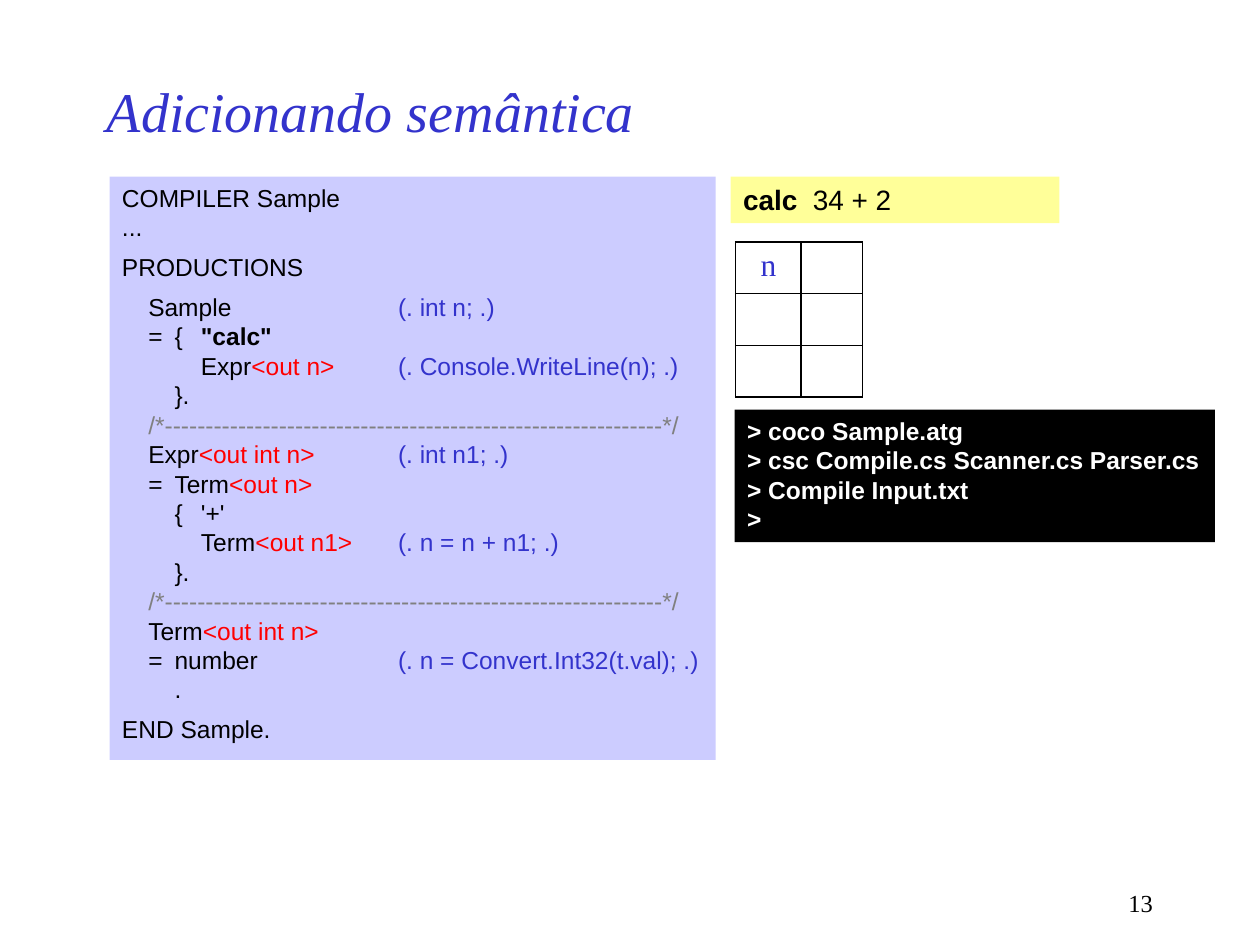
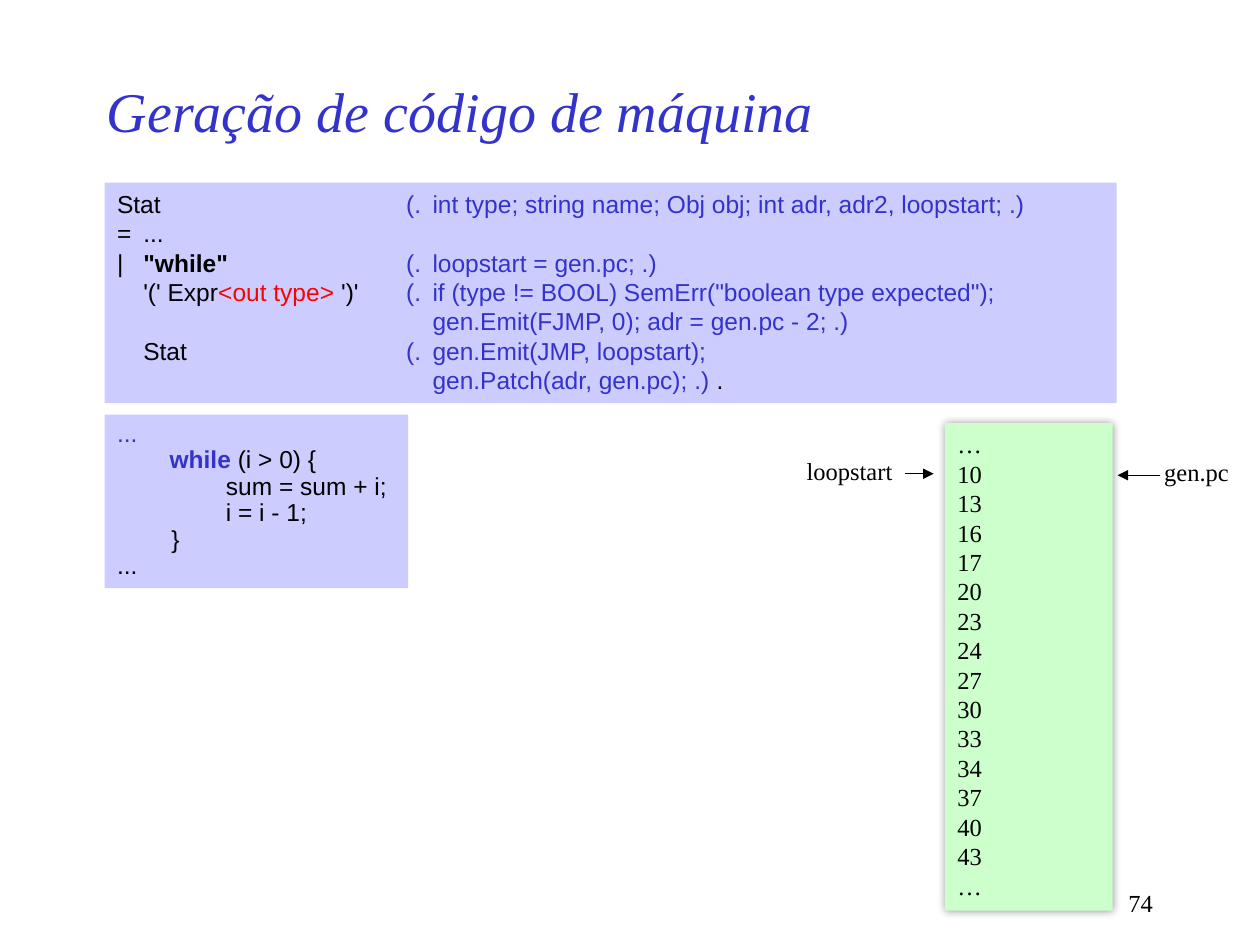
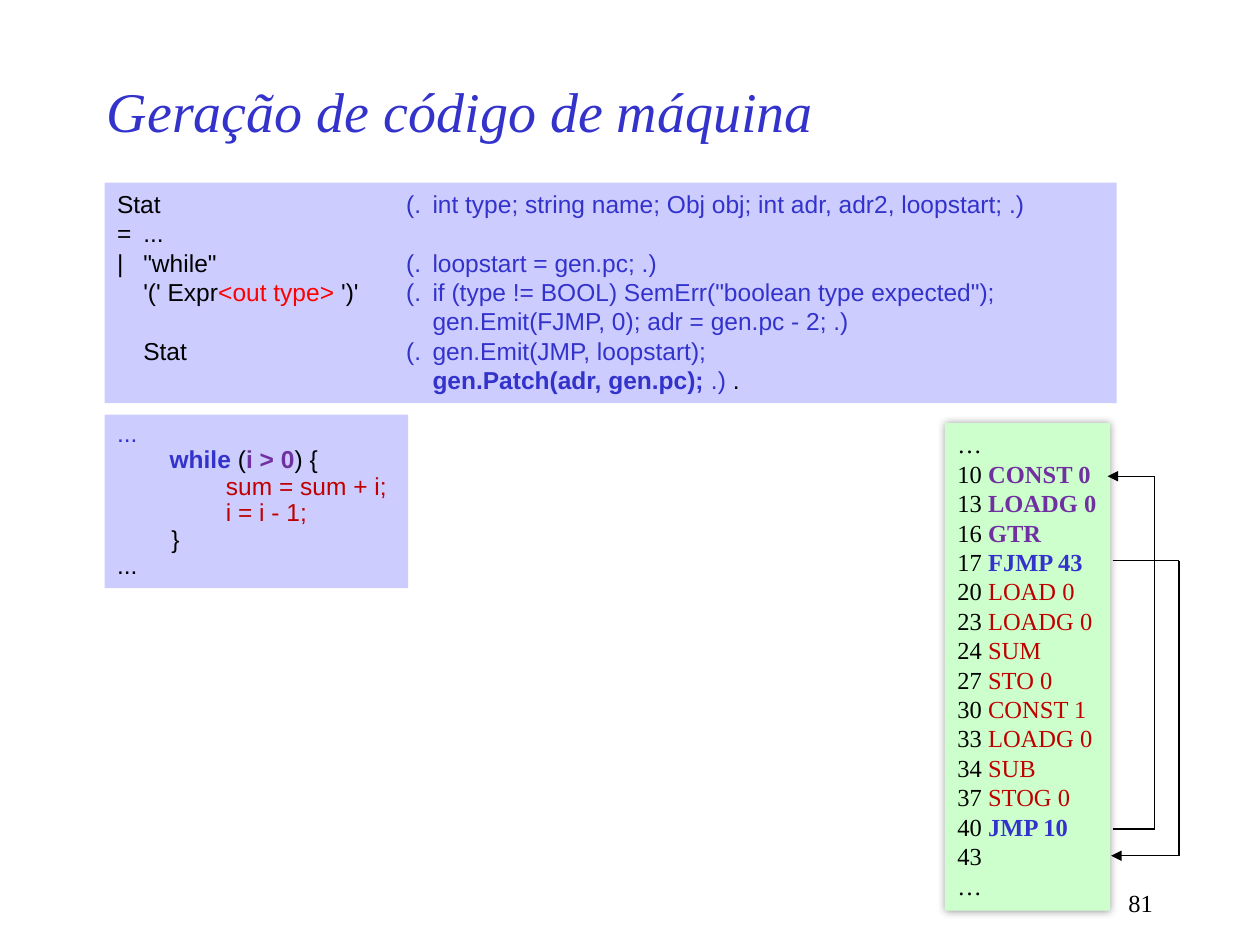
import pptx
import pptx.dml.color
import pptx.enum.shapes
import pptx.enum.text
import pptx.oxml
import pptx.oxml.ns
import pptx.util
from lxml import etree

Cm, Pt = pptx.util.Cm, pptx.util.Pt
RGBColor = pptx.dml.color.RGBColor
ALIGN = pptx.enum.text.PP_ALIGN
AUTO = pptx.enum.text.MSO_AUTO_SIZE
ANCHOR = pptx.enum.text.MSO_ANCHOR
qn = pptx.oxml.ns.qn

# Colours
BLACK = RGBColor(0x00, 0x00, 0x00)
WHITE = RGBColor(0xFF, 0xFF, 0xFF)
BLUE = RGBColor(0x33, 0x33, 0xCC)
RED = RGBColor(0xFF, 0x00, 0x00)
DARK_RED = RGBColor(0xC0, 0x00, 0x00)
PURPLE = RGBColor(0x70, 0x30, 0xA0)
GRAY = RGBColor(0x80, 0x80, 0x80)
LILAC = RGBColor(0xCC, 0xCC, 0xFF)
YELLOW = RGBColor(0xFF, 0xFF, 0x99)
GREEN = RGBColor(0xCC, 0xFF, 0xCC)

# Fonts and run formats
SERIF, SANS = "Times New Roman", "Arial"
BOLD = {"bold": True}
ATTR = {"color": RED}
SEM = {"color": BLUE}
KEYWORD = {"color": BLUE, "bold": True}
COND = {"color": PURPLE, "bold": True}
BODY = {"color": DARK_RED}
TAB = 0.53


def add_run(p, text, font=SERIF, size=14, color=BLACK, bold=False, italic=False):
    r = p.add_run()
    r.text = text
    f = r.font
    f.name, f.size, f.bold, f.italic = font, Pt(size), bold, italic
    f.color.rgb = color


def write(tf, paragraphs, align=ALIGN.LEFT, tabs=(), spacing=None, gaps=(), **fmt):
    """Fill a frame; a paragraph is a string or a list of strings and (text, format)."""
    for i, runs in enumerate(paragraphs):
        p = tf.paragraphs[0] if i == 0 else tf.add_paragraph()
        p.alignment = align
        if tabs:
            tab_list = etree.SubElement(p._p.get_or_add_pPr(), qn("a:tabLst"))
            for stop in tabs:
                etree.SubElement(tab_list, qn("a:tab"), pos=str(Cm(stop * TAB)), algn="l")
        if spacing:
            p.line_spacing = spacing
        if i in gaps:
            p.space_before = Pt(6)
        for run in [runs] if isinstance(runs, str) else runs:
            text, extra = (run, {}) if isinstance(run, str) else run
            add_run(p, text, **{**fmt, **extra})


class Deck:
    def __init__(self):
        self.prs = pptx.Presentation()
        self.prs.slide_width, self.prs.slide_height = Cm(25.4), Cm(19.05)
        self.s = None

    def slide(self, title, number):
        self.s = self.prs.slides.add_slide(self.prs.slide_layouts[5])
        sp = self.s.shapes.title
        sp.left, sp.top, sp.width, sp.height = Cm(1.9), Cm(1.27), Cm(19.05), Cm(1.9)
        tf = sp.text_frame
        tf.auto_size, tf.vertical_anchor = AUTO.NONE, ANCHOR.MIDDLE
        write(tf, [title], size=32, color=BLUE, italic=True)
        self.text(18.21, 17.78, 5.28, 0.84, str(number), align=ALIGN.RIGHT)

    def text(self, x, y, w, h, text, **fmt):
        tf = self.s.shapes.add_textbox(Cm(x), Cm(y), Cm(w), Cm(h)).text_frame
        tf.word_wrap = True
        write(tf, [text], **fmt)
        return tf

    def label(self, x, y, w, text):
        tf = self.text(x, y, w, 0.6, text)
        tf.word_wrap = False
        tf.margin_left = tf.margin_right = tf.margin_top = tf.margin_bottom = 0

    def panel(self, x, y, w, h, fill, paragraphs, wrap=False, shadow=False, **fmt):
        sp = self.s.shapes.add_shape(pptx.enum.shapes.MSO_SHAPE.RECTANGLE,
                                     Cm(x), Cm(y), Cm(w), Cm(h))
        sp.shadow.inherit = False
        sp.fill.solid()
        sp.fill.fore_color.rgb = fill
        sp.line.fill.background()
        if shadow:
            effects = sp._element.spPr.find(qn("a:effectLst"))
            outer = etree.SubElement(effects, qn("a:outerShdw"),
                                     blurRad=str(Pt(5)), dist="0", dir="0")
            color = etree.SubElement(outer, qn("a:srgbClr"), val=str(BLACK))
            etree.SubElement(color, qn("a:alpha"), val="40000")
        tf = sp.text_frame
        tf.word_wrap, tf.auto_size = wrap, AUTO.SHAPE_TO_FIT_TEXT
        tf.vertical_anchor = ANCHOR.TOP
        write(tf, paragraphs, **fmt)

    def arrow(self, *points):
        """Join the points by straight lines, with an arrowhead at the last one."""
        for start, end in zip(points, points[1:]):
            c = self.s.shapes.add_connector(pptx.enum.shapes.MSO_CONNECTOR.STRAIGHT,
                                            *map(Cm, start + end))
            c.line.color.rgb, c.line.width = BLACK, Pt(0.75)
            etree.SubElement(c._element.spPr, qn("a:effectLst"))
        etree.SubElement(c.line._get_or_add_ln(), qn("a:tailEnd"), type="triangle")

    def grid(self, x, y, widths, row_height, rows):
        frame = self.s.shapes.add_table(len(rows), len(widths), Cm(x), Cm(y),
                                        Cm(sum(widths)), Cm(row_height * len(rows)))
        table = frame.table
        table.first_row = table.horz_banding = False
        for column, width in zip(table.columns, widths):
            column.width = Cm(width)
        for i, row in enumerate(rows):
            table.rows[i].height = Cm(row_height)
            for j, text in enumerate(row):
                cell = table.cell(i, j)
                if text:
                    write(cell.text_frame, [text], align=ALIGN.CENTER, size=18, color=BLUE)
                pr = cell._tc.get_or_add_tcPr()
                for side in ("a:lnL", "a:lnR", "a:lnT", "a:lnB"):
                    ln = etree.SubElement(pr, qn(side), w=str(Pt(1)))
                    fill = etree.SubElement(ln, qn("a:solidFill"))
                    etree.SubElement(fill, qn("a:srgbClr"), val=str(BLACK))
                cell.fill.background()


# Parts shared by the code generation slides
def grammar(d, while_format, patch_format):
    d.panel(2.11, 3.68, 20.4, 4.45, LILAC, [
        ["Stat\t\t", ("(.\tint type; string name; Obj obj; int adr, adr2, loopstart; .)", SEM)],
        "=\t...",
        ["|\t", ('"while"\t', while_format), ("(.\tloopstart = gen.pc; .)", SEM)],
        ["\t'(' Expr", ("<out type>", ATTR), " ')'\t",
         ('(.\tif (type != BOOL) SemErr("boolean type expected");', SEM)],
        [("\t\t\t\tgen.Emit(FJMP, 0); adr = gen.pc - 2; .)", SEM)],
        ["\tStat\t", ("(.\tgen.Emit(JMP, loopstart);", SEM)],
        [("\t\t\t\t", SEM), ("gen.Patch(adr, gen.pc);", patch_format), (" .)", SEM), " ."],
    ], wrap=True, tabs=(1, 2, 11, 12, 13), font=SANS)


def loop_source(d, cond_format, body_format):
    d.panel(2.11, 8.36, 6.12, 3.5, LILAC, [
        [("...", SEM)],
        ["\t\t", ("while", KEYWORD), " (", ("i > 0", cond_format), ") {"],
        [("                sum = sum + i;", body_format)],
        [("                i = i - 1;", body_format)],
        "        }",
        "...",
    ], tabs=(1, 2, 3, 4), spacing=0.9, font=SANS)


def memory(d, width, instructions):
    addresses = (10, 13, 16, 17, 20, 23, 24, 27, 30, 33, 34, 37, 40, 43)
    lines = [[f"{a} ", instructions[a]] if a in instructions else str(a) for a in addresses]
    d.panel(19.05, 8.53, width, 9.83, GREEN, ["…", *lines, "…"], shadow=True)


def semantics_slide(d):
    d.slide("Adicionando semântica", 13)
    rule = [("\t/*" + "-" * 61 + "*/", {"color": GRAY})]
    d.panel(2.21, 3.56, 12.22, 11.76, LILAC, [
        "COMPILER Sample",
        "...",
        "PRODUCTIONS",
        ["\tSample \t", ("(. int n; .)", SEM)],
        ["\t=\t{\t", ('"calc"', BOLD)],
        ["\t\t\tExpr", ("<out n>\t", ATTR), ("(. Console.WriteLine(n); .)", SEM)],
        "\t\t}.",
        rule,
        ["\tExpr", ("<out int n>\t", ATTR), ("(. int n1; .)", SEM)],
        ["\t=\tTerm", ("<out n>", ATTR)],
        "\t\t{\t'+'",
        ["\t\t\tTerm", ("<out n1>\t", ATTR), ("(. n = n + n1; .)", SEM)],
        "\t\t}.",
        rule,
        ["\tTerm", ("<out int n>", ATTR)],
        ["\t=\tnumber\t", ("(. n = Convert.Int32(t.val); .)", SEM)],
        "\t\t.",
        "END Sample.",
    ], tabs=(1, 2, 3, 10.5), gaps=(2, 3, 17), font=SANS)
    d.panel(14.73, 3.56, 6.63, 0.94, YELLOW, [[("calc", BOLD), "  34 + 2"]],
            wrap=True, font=SANS, size=16)
    d.panel(14.81, 8.26, 9.68, 2.67, BLACK, [
        "> coco Sample.atg",
        "> csc Compile.cs Scanner.cs Parser.cs",
        "> Compile Input.txt",
        ">",
    ], font=SANS, color=WHITE, bold=True)
    d.grid(14.83, 4.88, (1.32, 1.24), 1.04, [("n", ""), ("", ""), ("", "")])


def loop_start_slide(d):
    d.slide("Geração de código de máquina", 74)
    grammar(d, BOLD, SEM)
    loop_source(d, {}, {})
    memory(d, 3.38, {})
    # Address markers
    d.arrow((18.24, 9.55), (18.82, 9.55))
    d.label(16.26, 9.19, 1.75, "loopstart")
    d.arrow((23.39, 9.58), (22.53, 9.58))
    d.label(23.47, 9.22, 1.32, "gen.pc")


def patched_code_slide(d):
    d.slide("Geração de código de máquina", 81)
    grammar(d, {}, KEYWORD)
    loop_source(d, COND, BODY)
    memory(d, 3.33, {
        10: ("CONST 0", COND), 13: ("LOADG 0", COND), 16: ("GTR", COND),
        17: ("FJMP 43", KEYWORD),
        20: ("LOAD 0", BODY), 23: ("LOADG 0", BODY), 24: ("SUM", BODY),
        27: ("STO 0", BODY), 30: ("CONST 1", BODY), 33: ("LOADG 0", BODY),
        34: ("SUB", BODY), 37: ("STOG 0", BODY),
        40: ("JMP 10", KEYWORD),
    })
    # Jump back to the condition, then jump out of the loop
    d.arrow((22.43, 16.71), (23.28, 16.71), (23.28, 9.6), (22.33, 9.6))
    d.arrow((22.43, 11.3), (23.77, 11.3), (23.77, 17.25), (22.4, 17.25))


def main():
    d = Deck()
    semantics_slide(d)
    loop_start_slide(d)
    patched_code_slide(d)
    d.prs.save("out.pptx")


if __name__ == "__main__":
    main()
